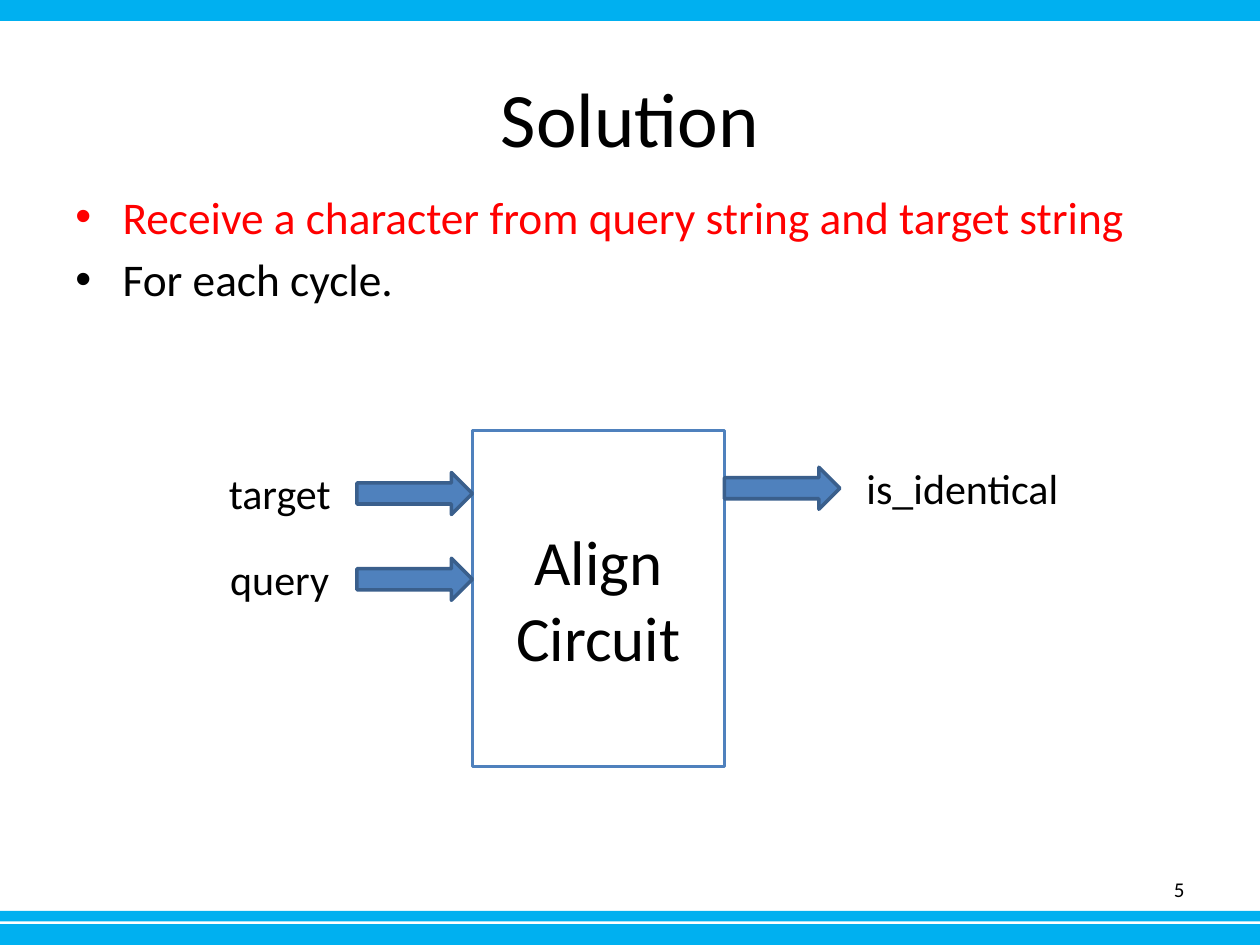
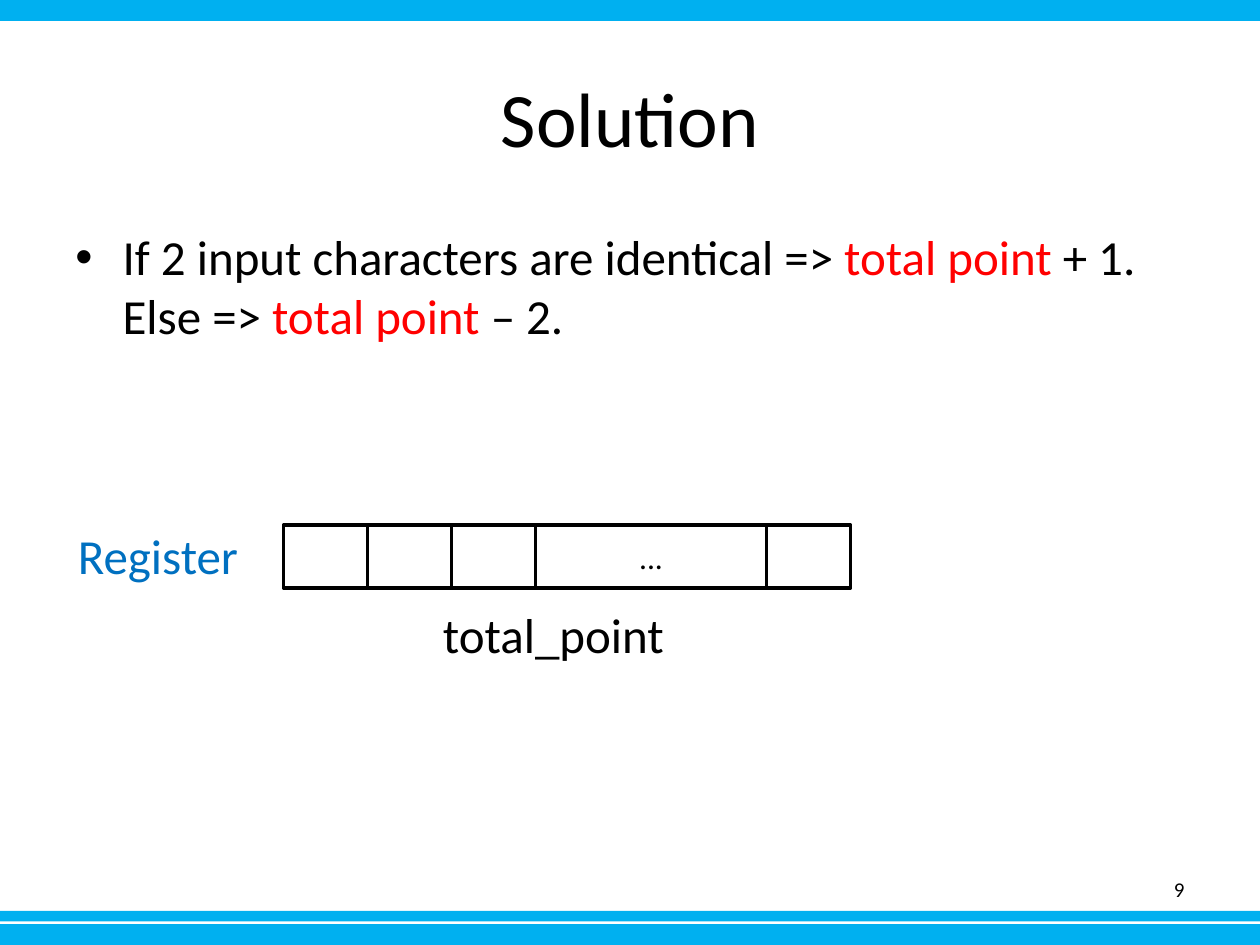
"""Build two slides on an alignment circuit: its ports and its score register."""
from lxml import etree
from pptx import Presentation
from pptx.dml import color as dml
from pptx.enum import shapes, text
from pptx.util import Pt

FONT = "Calibri"
BLACK, WHITE, RED = "000000", "FFFFFF", "FF0000"
BAND, BLUE, DARK_BLUE, LABEL_BLUE = "00B0F0", "4F81BD", "3A5F8C", "0070C0"
RECT, ARROW = shapes.MSO_SHAPE.RECTANGLE, shapes.MSO_SHAPE.RIGHT_ARROW
LEFT, CENTER, RIGHT = text.PP_ALIGN.LEFT, text.PP_ALIGN.CENTER, text.PP_ALIGN.RIGHT
TOP, MIDDLE = text.MSO_ANCHOR.TOP, text.MSO_ANCHOR.MIDDLE
A = "{http://schemas.openxmlformats.org/drawingml/2006/main}"


def rgb(code):
    return dml.RGBColor.from_string(code)


def write(frame, *paragraphs, size, color=BLACK, align=LEFT, anchor=TOP, wrap=True, bullet=False):
    frame.word_wrap = wrap
    frame.auto_size = text.MSO_AUTO_SIZE.NONE if wrap else text.MSO_AUTO_SIZE.SHAPE_TO_FIT_TEXT
    frame.vertical_anchor = anchor
    for index, spans in enumerate(paragraphs):
        para = frame.add_paragraph() if index else frame.paragraphs[0]
        para.alignment = align
        if bullet:
            para.space_before = Pt(size * 0.18)
            props = para._p.get_or_add_pPr()
            props.set("marL", str(Pt(27)))
            props.set("indent", str(Pt(-27)))
            etree.SubElement(props, A + "buFont").set("typeface", "Arial")
            etree.SubElement(props, A + "buChar").set("char", "•")
        for words, span_color in [(spans, color)] if isinstance(spans, str) else spans:
            span = para.add_run()
            span.text = words
            span.font.name, span.font.size = FONT, Pt(size)
            span.font.color.rgb = rgb(span_color)


ports_body = [
    [("Receive a character from query string and target string", RED)],
    [("For each cycle.", BLACK)],
]
score_body = [[
    ("If 2 input characters are identical => ", BLACK), ("total point ", RED),
    ("+ 1. Else => ", BLACK), ("total point ", RED), ("– 2.", BLACK),
]]

bands = [(RECT, 0, top, 720, height, BAND, None, "", 18)
         for top, height in [(528, 12), (520.5, 6), (0, 12)]]

circuit = [(RECT, 270, 246, 144, 192, WHITE, BLUE, "Align Circuit", 36)]
port_labels = []
for name, arrow_left, arrow_top, label_left, label_width in [
    ("target", 204, 270, 123.7, 73.6),
    ("query", 204, 319, 124.5, 72),
    ("is_identical", 414, 267, 488, 125.5),
]:
    circuit.append((ARROW, arrow_left, arrow_top, 66, 24, BLUE, DARK_BLUE, "", 18))
    port_labels.append((name, label_left, arrow_top - 6.2, label_width, 36, 24, BLACK))

register = []
cell_left = 162
for cell_width, mark in [(48, ""), (48, ""), (48, ""), (132, "..."), (48, "")]:
    register.append((RECT, cell_left, 300, cell_width, 36, WHITE, BLACK, mark, 18))
    cell_left += cell_width
register_labels = [
    ("total_point", 246, 342, 142, 41, 28, BLACK),
    ("Register", 37.4, 296.5, 107, 41, 28, LABEL_BLUE),
]

deck = Presentation()
deck.slide_width, deck.slide_height = Pt(720), Pt(540)

for number, body_top, body_size, body, diagram, labels in [
    ("5", 104.4, 25.9, ports_body, circuit, port_labels),
    ("9", 126, 28, score_body, register, register_labels),
]:
    page = deck.slides.add_slide(deck.slide_layouts[5])
    title = page.shapes.title
    title.left, title.top, title.width, title.height = Pt(36), Pt(21.6), Pt(648), Pt(90)
    write(title.text_frame, "Solution", size=44, align=CENTER, anchor=MIDDLE)

    for kind, left, top, width, height, fill, line, words, size in bands + diagram:
        shape = page.shapes.add_shape(kind, Pt(left), Pt(top), Pt(width), Pt(height))
        shape.shadow.inherit = False
        shape.fill.solid()
        shape.fill.fore_color.rgb = rgb(fill)
        if line:
            shape.line.color.rgb = rgb(line)
            shape.line.width = Pt(2)
        else:
            shape.line.fill.background()
        if words:
            write(shape.text_frame, words, size=size, align=CENTER, anchor=MIDDLE)

    box = page.shapes.add_textbox(Pt(36), Pt(body_top), Pt(648), Pt(90))
    write(box.text_frame, *body, size=body_size, bullet=True)

    box = page.shapes.add_textbox(Pt(516), Pt(493.5), Pt(168), Pt(28.75))
    write(box.text_frame, number, size=12, align=RIGHT, anchor=MIDDLE)

    for words, left, top, width, height, size, color in labels:
        box = page.shapes.add_textbox(Pt(left), Pt(top), Pt(width), Pt(height))
        write(box.text_frame, words, size=size, color=color, wrap=False)

deck.save("out.pptx")
